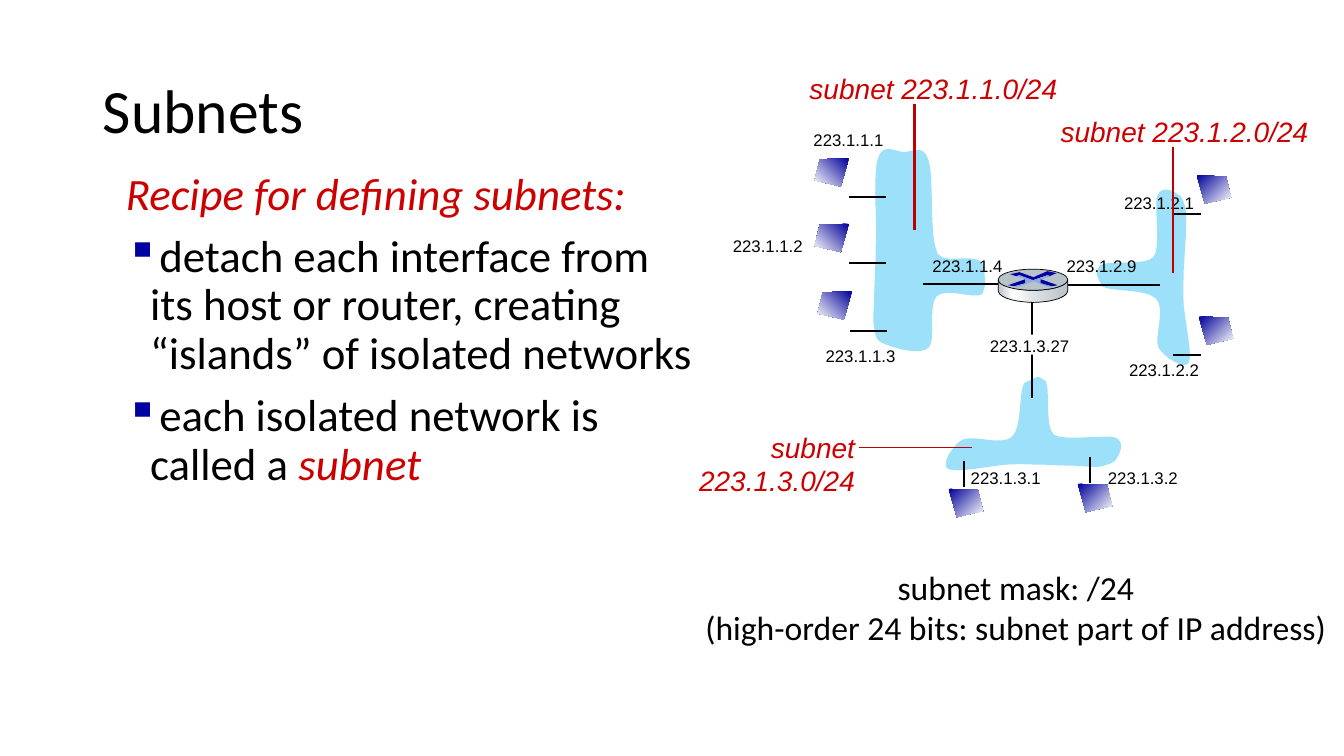
from lxml import etree
from pptx import Presentation
from pptx.dml.color import RGBColor
from pptx.enum.shapes import MSO_CONNECTOR, MSO_SHAPE
from pptx.enum.text import MSO_ANCHOR, MSO_AUTO_SIZE, PP_ALIGN
from pptx.oxml.ns import qn
from pptx.util import Pt

PX = 9144
CURVE_STEPS = 8
TITLE_ONLY = 5
LEFT, CENTER, RIGHT = PP_ALIGN.LEFT, PP_ALIGN.CENTER, PP_ALIGN.RIGHT
MIDDLE = MSO_ANCHOR.MIDDLE
GROW, FIXED = MSO_AUTO_SIZE.SHAPE_TO_FIT_TEXT, MSO_AUTO_SIZE.NONE
STRAIGHT = MSO_CONNECTOR.STRAIGHT
RECTANGLE, OVAL = MSO_SHAPE.RECTANGLE, MSO_SHAPE.OVAL

COLORS = {
    "black": "000000", "white": "FFFFFF", "red": "CC0000", "pointer": "C00000",
    "cloud": "9CE0FA", "bullet": "0000A3", "host": "000099", "arrow": "0000A3",
    "metal": "B8C2C9", "shine": "D6DCE0", "band": "8FAADC",
}


def rgb(name):
    return RGBColor.from_string(COLORS[name])


def curve_points(start, controls):
    first, second, end = controls[:2], controls[2:4], controls[4:]
    for step in range(1, CURVE_STEPS + 1):
        t = step / CURVE_STEPS
        u = 1 - t
        yield tuple(u**3 * a + 3 * u * u * t * b + 3 * u * t * t * c + t**3 * d
                    for a, b, c, d in zip(start, first, second, end))


class SlideBuilder:
    body_font = "Calibri"
    label_font = "Arial"

    def __init__(self, slide):
        self.slide = slide
        self.shapes = slide.shapes

    def run(self, paragraph, text, size, color="black", font=body_font, italic=False):
        run = paragraph.add_run()
        run.text = text
        run.font.size = Pt(size)
        run.font.name = font
        run.font.italic = italic
        run.font.color.rgb = rgb(color)

    def title(self, text, left, top, width, height):
        title = self.shapes.title
        title.left, title.top = left * PX, top * PX
        title.width, title.height = width * PX, height * PX
        frame = title.text_frame
        frame.auto_size = FIXED
        frame.vertical_anchor = MIDDLE
        paragraph = frame.paragraphs[0]
        paragraph.alignment = LEFT
        paragraph.line_spacing = 0.9
        self.run(paragraph, text, 44)

    def frame(self, left, top, width, height, wrap=False):
        box = self.shapes.add_textbox(left * PX, top * PX, width * PX, height * PX)
        box.text_frame.word_wrap = wrap
        box.text_frame.auto_size = FIXED if wrap else GROW
        return box.text_frame

    def text(self, lines, place, size, color="black", font=body_font, italic=False, align=LEFT):
        frame = self.frame(*place)
        for index, line in enumerate(lines):
            paragraph = frame.add_paragraph() if index else frame.paragraphs[0]
            paragraph.alignment = align
            self.run(paragraph, line, size, color, font, italic)

    def address(self, text, left, top, width=90):
        self.text([text], (left, top, width, 30), 12, font=self.label_font)

    def subnet_name(self, lines, place, align=LEFT):
        self.text(lines, place, 20, "red", self.label_font, True, align)

    def recipe(self, items, place):
        frame = self.frame(*place, wrap=True)
        for index, (bulleted, runs) in enumerate(items):
            paragraph = frame.add_paragraph() if index else frame.paragraphs[0]
            properties = paragraph._p.get_or_add_pPr()
            properties.set("marL", str(39 * PX))
            properties.set("indent", str(-24 * PX))
            if bulleted:
                color = etree.SubElement(properties, qn("a:buClr"))
                etree.SubElement(color, qn("a:srgbClr"), val=COLORS["bullet"])
                etree.SubElement(properties, qn("a:buChar"), char="▪")
            paragraph.line_spacing = 0.9
            if index:
                paragraph.space_before = Pt(10)
            for text, emphasized in runs:
                self.run(paragraph, text, 32, "red" if emphasized else "black", italic=emphasized)

    def paint(self, shape, fill, outline=None):
        shape.shadow.inherit = False
        if fill:
            shape.fill.solid()
            shape.fill.fore_color.rgb = rgb(fill)
        if outline:
            shape.line.color.rgb = rgb("black")
            shape.line.width = Pt(outline)
        else:
            shape.line.fill.background()

    def preset(self, kind, place, fill, outline=None):
        shape = self.shapes.add_shape(kind, *(value * PX for value in place))
        self.paint(shape, fill, outline)

    def outline(self, start, segments, fill=None, outline=None):
        points = [start]
        for segment in segments:
            if len(segment) == 2:
                points.append(segment)
            else:
                points.extend(curve_points(points[-1], segment))
        scaled = [(round(x * PX), round(y * PX)) for x, y in points]
        builder = self.shapes.build_freeform(*scaled[0], scale=1.0)
        builder.add_line_segments(scaled[1:], close=True)
        shape = builder.convert_to_shape()
        self.paint(shape, fill, outline)
        return shape

    def gradient(self, shape, stops, clockwise):
        shape.fill.gradient()
        shape.fill.gradient_angle = (360 - clockwise) % 360
        stop_list = next(shape._element.spPr.iter(qn("a:gsLst")))
        for stop in list(stop_list):
            stop_list.remove(stop)
        for percent, color in stops:
            stop = etree.SubElement(stop_list, qn("a:gs"), pos=str(percent * 1000))
            etree.SubElement(stop, qn("a:srgbClr"), val=COLORS[color])

    def host(self, left, top, mirrored=False):
        corners = [(0, 0), (29, 1), (34, 22), (8, 28)]
        points = [(left + (34 - x if mirrored else x), top + y) for x, y in corners]
        shape = self.outline(points[0], points[1:])
        self.gradient(shape, [(0, "host"), (100, "white")], 135 if mirrored else 45)

    def line(self, x1, y1, x2, y2, color="black", width=1.5):
        connector = self.shapes.add_connector(STRAIGHT, x1 * PX, y1 * PX, x2 * PX, y2 * PX)
        connector.line.color.rgb = rgb(color)
        connector.line.width = Pt(width)
        etree.SubElement(connector._element.spPr, qn("a:effectLst"))

    def router(self):
        side = self.outline((1059, 278), [
            (1059, 289), (1057, 297, 1037, 300, 1025, 300), (1013, 300, 992, 297, 990, 289),
            (990, 278), (993, 285, 1013, 288, 1025, 288), (1036, 288, 1056, 286, 1059, 278)],
            outline=0.5)
        self.gradient(side, [(0, "metal"), (21, "white"), (60, "shine"), (100, "metal")], 0)
        self.preset(OVAL, (990, 267, 69, 21), "metal", 0.5)
        self.outline((1039, 269), [
            (1048, 271), (1041, 274), (1039, 273), (1024, 278), (1011, 273),
            (1008, 274), (1002, 272), (1011, 270), (1025, 275)], "arrow")
        self.outline((1032, 277), [(1049, 283), (1043, 284), (1032, 281)], "arrow")
        self.outline((1017, 277), [(1017, 281), (1006, 284), (1000, 283)], "arrow")
        self.outline((1008, 274), [
            (1011, 273), (1025, 278), (1039, 273), (1042, 274), (1032, 277), (1032, 281),
            (1043, 284), (1040, 285), (1025, 279), (1009, 285), (1006, 284), (1017, 281),
            (1017, 277)], "band")


CLOUDS = [
    ((1016, 380), [
        (1010, 389, 1014, 423, 1004, 433), (994, 443, 966, 431, 955, 436),
        (945, 441, 933, 461, 940, 465), (947, 470, 983, 462, 998, 461),
        (1013, 460, 1021, 461, 1032, 461), (1043, 461, 1053, 462, 1063, 462),
        (1072, 462, 1084, 464, 1091, 463), (1099, 461, 1106, 459, 1108, 454),
        (1111, 449, 1116, 438, 1106, 434), (1095, 431, 1054, 438, 1045, 431),
        (1036, 423, 1042, 385, 1037, 378), (1029, 373, 1032, 372, 1016, 380)]),
    ((1093, 284), [
        (1102, 290, 1136, 286, 1146, 296), (1157, 306, 1144, 334, 1149, 345),
        (1155, 355, 1175, 367, 1179, 360), (1183, 353, 1175, 317, 1174, 302),
        (1173, 287, 1174, 279, 1174, 268), (1175, 257, 1175, 247, 1176, 237),
        (1176, 227, 1177, 216, 1176, 209), (1175, 201, 1172, 194, 1167, 192),
        (1163, 189, 1152, 184, 1148, 194), (1144, 205, 1152, 246, 1144, 255),
        (1137, 264, 1098, 258, 1091, 263), (1087, 271, 1085, 268, 1093, 284)]),
    ((976, 266), [
        (974, 247, 939, 264, 930, 252), (921, 234, 927, 176, 921, 159),
        (916, 142, 904, 151, 896, 151), (888, 150, 876, 142, 871, 156),
        (866, 169, 869, 213, 869, 231), (868, 249, 869, 254, 868, 265),
        (868, 276, 867, 286, 867, 296), (867, 306, 865, 317, 867, 324),
        (868, 332, 868, 338, 877, 341), (886, 345, 912, 353, 921, 345),
        (929, 338, 920, 303, 929, 294), (938, 285, 966, 297, 974, 292),
        (977, 284, 978, 285, 976, 266)]),
]
ADDRESSES = [
    ("223.1.1.1", 797, 124), ("223.1.1.2", 717, 229), ("223.1.1.3", 809, 338),
    ("223.1.1.4", 915, 249), ("223.1.2.9", 1048, 249), ("223.1.2.2", 1110, 352),
    ("223.1.2.1", 1105, 186), ("223.1.3.2", 1089, 459), ("223.1.3.1", 953, 459),
]
LINKS = [
    (842, 195, 879, 195), (842, 261, 879, 261), (843, 328, 880, 328),
    (1162, 212, 1191, 212), (1163, 352, 1191, 352), (956, 457, 956, 483),
    (1081, 453, 1081, 479), (915, 282, 1002, 282), (1044, 283, 1151, 283),
]
HOSTS = [
    (808, 157, True), (808, 222, True), (811, 289, True),
    (1187, 174, False), (1189, 314, False), (1069, 480, False), (941, 485, False),
]
RECIPE = [
    (False, [("Recipe for defining subnets:", True)]),
    (True, [("detach each interface from its host or router, creating "
             "“islands” of isolated networks", False)]),
    (True, [("each isolated network is called a ", False), ("subnet", True)]),
]


def main():
    presentation = Presentation()
    presentation.slide_width, presentation.slide_height = 1333 * PX, 750 * PX
    slide = presentation.slides.add_slide(presentation.slide_layouts[TITLE_ONLY])
    builder = SlideBuilder(slide)
    builder.title("Subnets", 92, 40, 1150, 145)
    for start, segments in CLOUDS:
        builder.outline(start, segments, "cloud")
    for address in ADDRESSES:
        builder.address(*address)
    builder.line(1024, 299, 1024, 395)
    builder.preset(RECTANGLE, (978, 332, 93, 20), "white")
    builder.address("223.1.3.27", 972, 328, 100)
    builder.recipe(RECIPE, (100, 165, 602, 545))
    for link in LINKS:
        builder.line(*link)
    for host in HOSTS:
        builder.host(*host)
    builder.router()
    builder.text(["subnet mask: /24", "(high-order 24 bits: subnet part of IP address)"],
                 (687, 557, 641, 91), 24, align=CENTER)
    builder.subnet_name(["subnet", "223.1.3.0/24"], (682, 422, 176, 77), RIGHT)
    builder.line(852, 444, 964, 444, "pointer", 1.25)
    for name, left, top, pointer in [("subnet 223.1.1.0/24", 793, 66, 907),
                                     ("subnet 223.1.2.0/24", 1042, 109, 1163)]:
        builder.subnet_name([name], (left, top, 272, 44))
        builder.line(pointer, top + 37, pointer, top + 162, "pointer")
    presentation.save("out.pptx")


if __name__ == "__main__":
    main()
